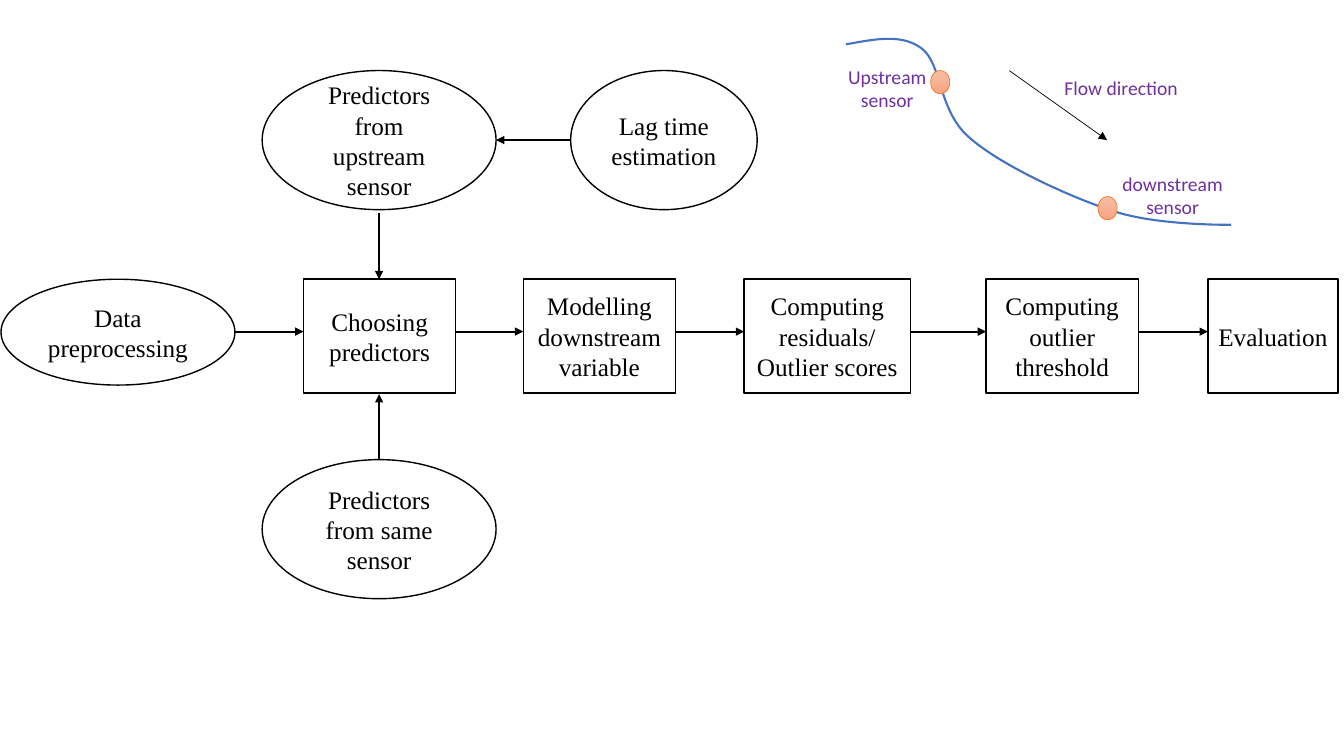
from itertools import pairwise

from lxml import etree
from pptx import Presentation
from pptx.dml.color import RGBColor
from pptx.enum import shapes, text
from pptx.oxml import ns
from pptx.util import Inches, Pt

COLORS = {
    "paper": "FFFFFF", "ink": "000000", "label": "7030A0", "river": "4472C4",
    "sensor_line": "ED7D31", "sensor_top": "F7BDA5", "sensor_bottom": "F8A582",
}
RECT, OVAL = shapes.MSO_SHAPE.RECTANGLE, shapes.MSO_SHAPE.OVAL


def rgb(name):
    """Look up a named colour."""
    return RGBColor.from_string(COLORS[name])


def set_line(shape, color, width):
    """Colour and size the line of a shape or connector."""
    shape.line.color.rgb = rgb(color)
    shape.line.width = Pt(width)


def add_node(slide, kind, box, wording, outline="ink", font="Times New Roman", size=18, color="ink"):
    """Add a white shape with centred wording, one paragraph per line."""
    node = slide.shapes.add_shape(kind, *map(Inches, box))
    node.shadow.inherit = False
    node.fill.solid()
    node.fill.fore_color.rgb = rgb("paper")
    set_line(node, outline, 1)
    frame = node.text_frame
    frame.word_wrap = True
    frame.vertical_anchor = text.MSO_ANCHOR.MIDDLE
    frame.text = wording
    for paragraph in frame.paragraphs:
        paragraph.alignment = text.PP_ALIGN.CENTER
        paragraph.font.name = font
        paragraph.font.size = Pt(size)
        paragraph.font.color.rgb = rgb(color)


def add_arrow(slide, start, end, width=1.5):
    """Add a straight black arrow."""
    arrow = slide.shapes.add_connector(shapes.MSO_CONNECTOR.STRAIGHT, *map(Inches, (*start, *end)))
    set_line(arrow, "ink", width)
    etree.SubElement(arrow.line._get_or_add_ln(), ns.qn("a:tailEnd"), type="triangle")
    etree.SubElement(arrow._element.spPr, ns.qn("a:effectLst"))


def bezier(start, control_1, control_2, end, steps=24):
    """Return the points of a cubic curve after its start."""
    return [
        tuple((1 - t) ** 3 * a + 3 * (1 - t) ** 2 * t * b + 3 * (1 - t) * t ** 2 * c + t ** 3 * d
              for a, b, c, d in zip(start, control_1, control_2, end))
        for t in (step / steps for step in range(1, steps + 1))
    ]


def add_pipeline(slide, left, top):
    """Draw the row of steps from preprocessing to evaluation."""
    height, arrow_y = 1.13, top + 0.52
    steps = [
        (OVAL, 0, 2.32, 1.05, "Data preprocessing"),
        (RECT, 3, 1.51, height, "Choosing predictors"),
        (RECT, 5.18, 1.51, height, "Modelling downstream variable"),
        (RECT, 7.37, 1.65, height, "Computing residuals/\nOutlier scores"),
        (RECT, 9.77, 1.51, height, "Computing outlier threshold"),
        (RECT, 11.97, 1.29, height, "Evaluation"),
    ]
    for kind, x, width, step_height, wording in steps:
        add_node(slide, kind, (left + x, top, width, step_height), wording)
    for (_, x, width, *_), (_, next_x, *_) in pairwise(steps):
        add_arrow(slide, (left + x + width, arrow_y), (left + next_x, arrow_y))


def add_predictors(slide, left, top):
    """Draw the predictor sources above and below the choosing step."""
    width, height = 2.32, 1.38
    lag_x, same_y = left + 3.06, top + 3.86
    middle_x, middle_y = left + width / 2, top + height / 2
    add_node(slide, OVAL, (left, top, width, height), "Predictors from upstream sensor")
    add_node(slide, OVAL, (lag_x, top, 1.85, height), "Lag time estimation")
    add_node(slide, OVAL, (left, same_y, width, height), "Predictors from same sensor")
    add_arrow(slide, (lag_x, middle_y), (left + width, middle_y))
    add_arrow(slide, (middle_x, top + 1.41), (middle_x, top + 2.07))
    add_arrow(slide, (middle_x, same_y), (middle_x, top + 3.21))


def add_river(slide, left, top):
    """Draw the river with its two sensors and the flow direction."""
    labels = [
        (2.83, 1.39, "downstream sensor"),
        (0, 0.33, "Upstream sensor"),
        (2.32, 0.33, "Flow direction"),
    ]
    for x, y, wording in labels:
        add_node(slide, RECT, (left + x, top + y, 1.48, 0.33), wording,
                 "paper", "Calibri", 14, "label")

    bends = [
        ((0.33, 0.06), (0.61, 0.01), (0.88, -0.05), (1.08, 0.1)),
        ((1.08, 0.1), (1.29, 0.26), (1.24, 0.72), (1.56, 0.99)),
        ((1.56, 0.99), (1.87, 1.26), (2.54, 1.57), (2.97, 1.71)),
        ((2.97, 1.71), (3.4, 1.86), (4.15, 1.85), (4.15, 1.85)),
    ]
    course = [bends[0][0]] + [point for bend in bends for point in bezier(*bend)]
    course = [(Inches(left + x), Inches(top + y)) for x, y in course]
    builder = slide.shapes.build_freeform(*course[0])
    builder.add_line_segments(course[1:], close=False)
    river = builder.convert_to_shape()
    river.shadow.inherit = False
    river.fill.background()
    set_line(river, "river", 1.5)

    for x, y in [(1.17, 0.32), (2.83, 1.57)]:
        sensor = slide.shapes.add_shape(OVAL, *map(Inches, (left + x, top + y, 0.19, 0.23)))
        sensor.shadow.inherit = False
        sensor.fill.gradient()
        sensor.fill.gradient_angle = 270
        for stop, color in zip(sensor.fill.gradient_stops, ("sensor_top", "sensor_bottom")):
            stop.color.rgb = rgb(color)
        set_line(sensor, "sensor_line", 0.5)
    add_arrow(slide, (left + 1.95, top + 0.32), (left + 2.92, top + 1.01), 0.5)


def main():
    """Build and save the slide."""
    deck = Presentation()
    deck.slide_width, deck.slide_height = Inches(13.33), Inches(7.5)
    slide = deck.slides.add_slide(deck.slide_layouts[6])
    add_river(slide, 8.06, 0.38)
    add_pipeline(slide, 0.01, 2.77)
    add_predictors(slide, 2.6, 0.7)
    deck.save("out.pptx")


main()
